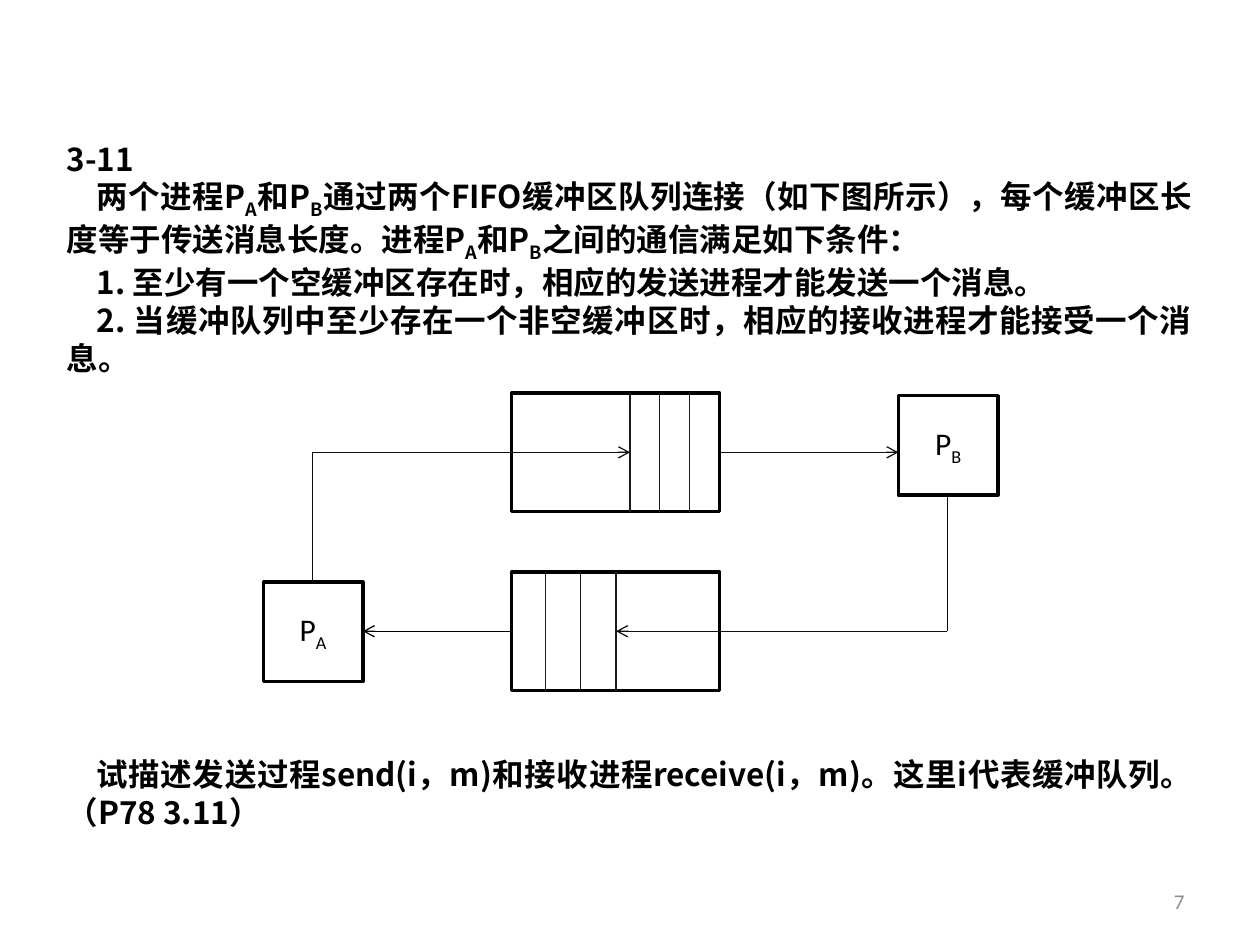
from lxml import etree
from pptx import Presentation
from pptx.dml.color import RGBColor
from pptx.enum.shapes import MSO_CONNECTOR, MSO_SHAPE
from pptx.enum.text import MSO_ANCHOR, PP_ALIGN
from pptx.oxml.ns import qn
from pptx.util import Inches, Pt

RECT, STRAIGHT = MSO_SHAPE.RECTANGLE, MSO_CONNECTOR.STRAIGHT
TOP, MIDDLE = MSO_ANCHOR.TOP, MSO_ANCHOR.MIDDLE
LEFT, CENTER, RIGHT, JUSTIFY = PP_ALIGN.LEFT, PP_ALIGN.CENTER, PP_ALIGN.RIGHT, PP_ALIGN.JUSTIFY
CJK, LATIN = "Noto Sans CJK SC", "Calibri"


def color(value):
    return RGBColor.from_string(value)


def write(para, text, font_name, **formats):
    """Add text to a paragraph; parts between underscores are subscripts."""
    for index, part in enumerate(text.split("_")):
        if not part:
            continue
        span = para.add_run()
        span.text = part
        span.font.name = font_name
        span.font.color.rgb = color(formats.get("ink", "000000"))
        for name, value in {"size": Pt(formats.get("size", 18)),
                            "bold": formats.get("bold", False)}.items():
            setattr(span.font, name, value)
        properties = span.font._element
        etree.SubElement(properties, qn("a:ea")).set("typeface", font_name)
        if index % 2:
            properties.set("baseline", "-25000")


deck = Presentation()
deck.slide_width, deck.slide_height = Inches(10), Inches(7.5)
page = deck.slides.add_slide(deck.slide_layouts[6])

# Exercise text, with a gap for the diagram before the last paragraph
box = page.shapes.add_textbox(Inches(0.43), Inches(1.06), Inches(9.13), Inches(5.86))
frame = box.text_frame
frame.word_wrap = True
frame.vertical_anchor = TOP
paragraphs = [
    ("3-11", 0, 0),
    ("两个进程P_A_和P_B_通过两个FIFO缓冲区队列连接（如下图所示），每个缓冲区长度等于传送消息长度。"
     "进程P_A_和P_B_之间的通信满足如下条件：", 0.24, 0),
    ("1. 至少有一个空缓冲区存在时，相应的发送进程才能发送一个消息。", 0.24, 0),
    ("2. 当缓冲队列中至少存在一个非空缓冲区时，相应的接收进程才能接受一个消息。", 0.24, 0),
    ("试描述发送过程send(i，m)和接收进程receive(i，m)。这里i代表缓冲队列。（P78 3.11）", 0.24, 216),
]
for index, (text, indent, gap) in enumerate(paragraphs):
    para = frame.paragraphs[0] if index == 0 else frame.add_paragraph()
    para.alignment = JUSTIFY
    para.space_before = Pt(gap)
    para._p.get_or_add_pPr().set("indent", str(Inches(indent)))
    write(para, text, CJK, bold=True)

# Processes and buffer queues
process, queue_width, queue_height = 0.79, 1.65, 0.94
queue_left, send_top, reply_top = 4.06, 3.12, 4.54
for left, top, width, height, label in [
    (2.09, 4.62, process, process, "P_A_"),
    (7.13, 3.14, process, process, "P_B_"),
    (queue_left, send_top, queue_width, queue_height, ""),
    (queue_left, reply_top, queue_width, queue_height, ""),
]:
    shape = page.shapes.add_shape(RECT, Inches(left), Inches(top), Inches(width), Inches(height))
    shape.shadow.inherit = False
    shape.fill.background()
    shape.line.color.rgb = color("000000")
    shape.line.width = Pt(2)
    if label:
        shape.text_frame.vertical_anchor = MIDDLE
        para = shape.text_frame.paragraphs[0]
        para.alignment = CENTER
        write(para, label, LATIN)

# Slot dividers, then the message routes
send_y, reply_y = send_top + queue_height / 2, reply_top + queue_height / 2
queue_right = queue_left + queue_width
send_slot, reply_slot = 5.0, 4.89
lines = []
for slot in range(3):
    for x, top in [(send_slot + 0.235 * slot, send_top), (reply_slot - 0.28 * slot, reply_top)]:
        lines.append((x, top, x, top + queue_height, "1E1C11", False))
lines += [
    (2.48, 4.62, 2.48, send_y, "0D0D0D", False),
    (2.48, send_y, send_slot, send_y, "0D0D0D", True),
    (queue_right, send_y, 7.13, send_y, "0D0D0D", True),
    (7.52, 3.93, 7.52, reply_y, "0D0D0D", False),
    (7.52, reply_y, reply_slot, reply_y, "0D0D0D", True),
    (queue_left, reply_y, 2.88, reply_y, "000000", True),
]
for x1, y1, x2, y2, ink, arrow in lines:
    line = page.shapes.add_connector(STRAIGHT, Inches(x1), Inches(y1), Inches(x2), Inches(y2))
    line.line.color.rgb = color(ink)
    line.line.width = Pt(0.75)
    if arrow:
        etree.SubElement(line.line._get_or_add_ln(), qn("a:tailEnd")).set("type", "arrow")
    etree.SubElement(line._element.spPr, qn("a:effectLst"))

# Page number
box = page.shapes.add_textbox(Inches(7.17), Inches(6.95), Inches(2.33), Inches(0.4))
box.text_frame.word_wrap = True
box.text_frame.vertical_anchor = MIDDLE
para = box.text_frame.paragraphs[0]
para.alignment = RIGHT
write(para, "7", LATIN, size=12, ink="8C8C8C")

deck.save("out.pptx")
